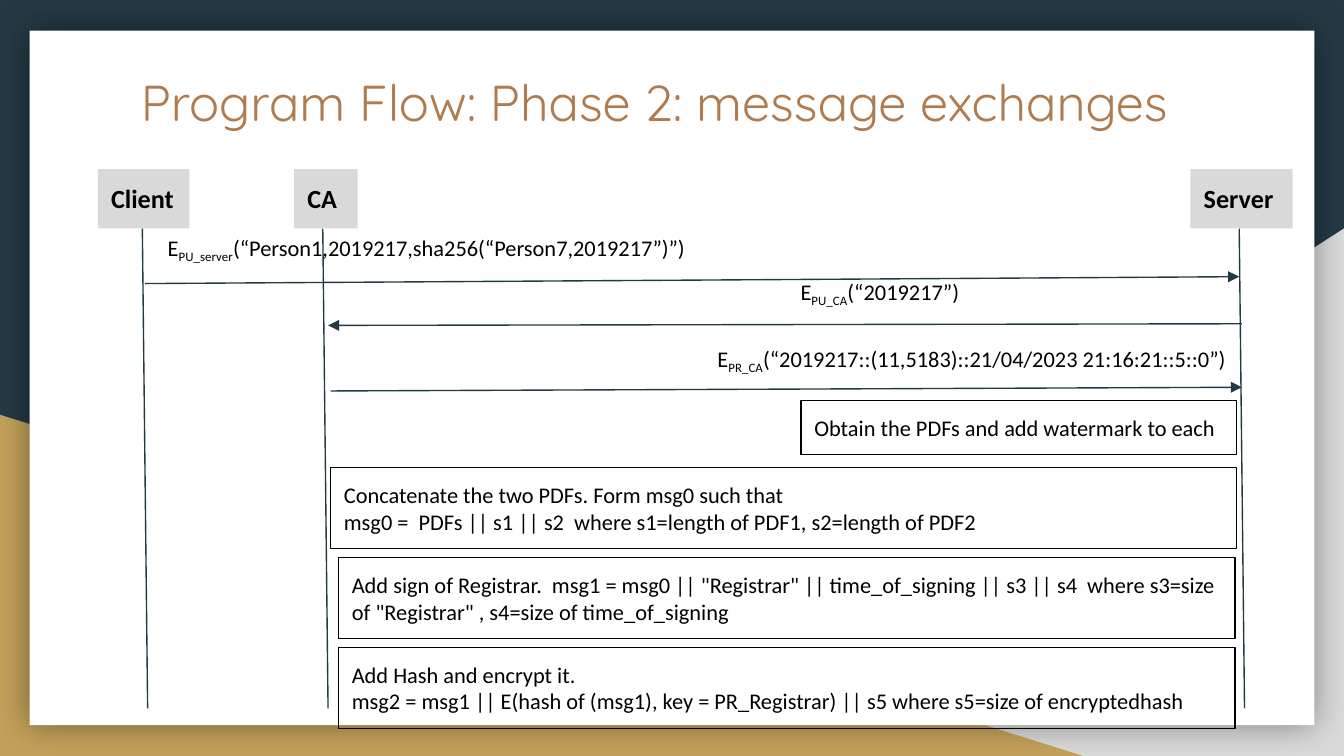
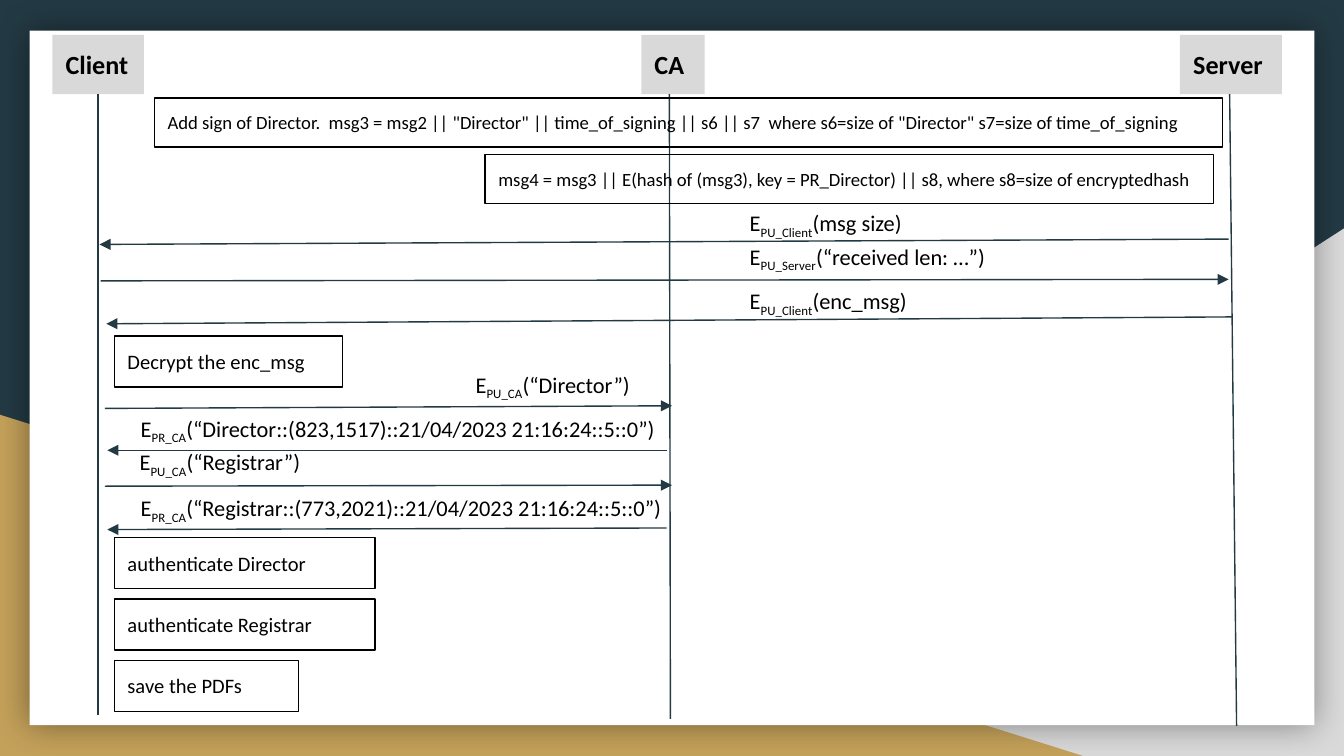
import pptx
import pptx.util
import pptx.dml.color
import pptx.enum.shapes
import pptx.enum.text
import pptx.oxml.ns
import lxml.etree

Cm, Pt = pptx.util.Cm, pptx.util.Pt
qn = pptx.oxml.ns.qn
KIND = pptx.enum.shapes.MSO_SHAPE

HUES = {"navy": "233A44", "gold": "C4A15A", "grey": "D9D9D9",
        "white": "FFFFFF", "black": "000000", "brown": "AF7B51"}
BODY, HEAD = "Calibri", "Quicksand"
WIDTHS = {"Client": 1.73, "CA": 1.2, "Server": 1.93}
HIGH = 1.12  # height of an actor's box


def hue(name):
    return pptx.dml.color.RGBColor.from_string(HUES[name])


def tall(size, lines=1):
    """Height in cm of a box around lines of text, with its insets."""
    return round(0.5 + lines * size * 0.043, 2)


def style(para, size, bold=False, face=BODY, ink="black"):
    para.alignment = pptx.enum.text.PP_ALIGN.LEFT
    font = para.font
    font.name, font.size, font.bold = face, Pt(size), bold
    font.color.rgb = hue(ink)


def frame(shape):
    """Prepare the text frame of a shape: insets, wrap, top anchor."""
    text = shape.text_frame
    text.word_wrap = True
    text.vertical_anchor = pptx.enum.text.MSO_ANCHOR.TOP
    text.margin_left = text.margin_right = Cm(0.25)
    text.margin_top = text.margin_bottom = Cm(0.25)
    return text


def block(slide, kind, left, top, width, height, fill=None, edge=None):
    shape = slide.shapes.add_shape(
        kind, Cm(left), Cm(top), Cm(width), Cm(height))
    shape.shadow.inherit = False
    if fill:
        shape.fill.solid()
        shape.fill.fore_color.rgb = hue(fill)
    else:
        shape.fill.background()
    if edge:
        shape.line.color.rgb = hue(edge)
        shape.line.width = Pt(0.75)
    else:
        shape.line.fill.background()
    return shape


def line(slide, start, end, arrow=False):
    link = slide.shapes.add_connector(
        pptx.enum.shapes.MSO_CONNECTOR.STRAIGHT,
        *[Cm(n) for n in (*start, *end)])
    link.line.color.rgb = hue("navy")
    link.line.width = Pt(0.75)
    props = link.element.spPr
    if arrow:
        lxml.etree.SubElement(props.find(qn("a:ln")), qn("a:tailEnd"),
                              type="triangle")
    lxml.etree.SubElement(props, qn("a:effectLst"))


def glow(shape):
    """Soft shadow on all sides."""
    effect = shape.element.spPr.find(qn("a:effectLst"))
    outer = lxml.etree.SubElement(effect, qn("a:outerShdw"),
                                  blurRad=str(Pt(18)), dist="0", dir="0",
                                  algn="ctr", rotWithShape="0")
    tint = lxml.etree.SubElement(outer, qn("a:srgbClr"), val=HUES["black"])
    lxml.etree.SubElement(tint, qn("a:alpha"), val="40000")


def backdrop(master, slide):
    """Draw the shared backdrop and move it to the master."""
    fill = master.background.fill
    fill.solid()
    fill.fore_color.rgb = hue("navy")
    right = block(slide, KIND.RIGHT_TRIANGLE, 9.96, 4.32, 15.44, 9.97, "grey")
    right.element.spPr.find(qn("a:xfrm")).set("flipH", "1")
    left = block(slide, KIND.RIGHT_TRIANGLE, 0, 7.84, 20.47, 6.45, "gold")
    sheet = block(slide, KIND.RECTANGLE, 0.56, 0.58, 24.28, 13.13, "white")
    glow(sheet)
    for num, shape in enumerate((right, left, sheet)):
        shape.element.nvSpPr.cNvPr.set("id", str(100 + num))
        master.shapes.element.insert(2 + num, shape.element)


def title(slide, words):
    shape = slide.shapes.title
    shape.left, shape.top = Cm(2.41), Cm(1.09)
    shape.width, shape.height = Cm(20.12), Cm(1.78)
    text = frame(shape)
    text.auto_size = pptx.enum.text.MSO_AUTO_SIZE.NONE
    text.text = words
    style(text.paragraphs[0], 27, face=HEAD, ink="brown")


def actors(slide, top, rows):
    """Name boxes, each with the lifeline that hangs from it."""
    for name, left, head, foot in rows:
        shape = block(slide, KIND.RECTANGLE, left, top,
                      WIDTHS[name], HIGH, "grey")
        text = frame(shape)
        text.text = name
        style(text.paragraphs[0], 14, bold=True)
        line(slide, (head, top + HIGH), foot)


def message(slide, key, body, left, top, width, start, end):
    """An arrow and its label: E, the key as subscript, the content."""
    line(slide, start, end, arrow=True)
    label = slide.shapes.add_textbox(
        Cm(left), Cm(top), Cm(width), Cm(tall(12)))
    para = frame(label).paragraphs[0]
    style(para, 12)
    for words in ("E", key, body):
        para.add_run().text = words
    para.runs[1]._r.get_or_add_rPr().set("baseline", "-25000")


def step(slide, words, left, top, width, size=12, lines=1):
    """An outlined box for work done by one actor."""
    shape = block(slide, KIND.RECTANGLE, left, top, width,
                  tall(size, lines), edge="black")
    text = frame(shape)
    text.text = words
    for para in text.paragraphs:
        style(para, size)


def request(slide):
    title(slide, "Program Flow: Phase 2: message exchanges")
    actors(slide, 3.2, [
        ("Client", 1.85, 2.69, (2.79, 13.39)),
        ("CA", 5.56, 6.1, (6.2, 13.39)),
        ("Server", 22.5, 23.42, (23.52, 13.39))])

    # Messages
    for row in [
        ("PU_server", "(“Person1,2019217,sha256(“Person7,2019217”)”)",
         2.92, 4.17, 13.08, (2.74, 5.36), (23.42, 5.23)),
        ("PU_CA", "(“2019217”)",
         14.88, 5, 4.6, (23.47, 6.12), (6.2, 6.15)),
        ("PR_CA", "(“2019217::(11,5183)::21/04/2023 21:16:21::5::0”)",
         13.31, 6.27, 11.43, (6.25, 7.39), (23.47, 7.32)),
    ]:
        message(slide, *row)

    # Work on the server
    step(slide, "Obtain the PDFs and add watermark to each",
         15.14, 7.57, 8.23)
    for num, (words, left, width) in enumerate([
        ("Concatenate the two PDFs. Form msg0 such that\n"
         "msg0 =  PDFs || s1 || s2  where s1=length of PDF1, "
         "s2=length of PDF2", 6.25, 17.12),
        ('Add sign of Registrar.  msg1 = msg0 || "Registrar" || '
         "time_of_signing || s3 || s4  where s3=size of "
         '"Registrar" , s4=size of time_of_signing', 6.4, 16.94),
        ("Add Hash and encrypt it.\n"
         "msg2 = msg1 || E(hash of (msg1), key = PR_Registrar) || s5 "
         "where s5=size of encryptedhash", 6.4, 16.94),
    ]):
        step(slide, words, left, 8.84 + 1.7 * num, width, lines=2)


def reply(slide):
    actors(slide, 0.66, [
        ("Client", 0.99, 1.85, (1.85, 13.51)),
        ("CA", 12.12, 12.65, (12.67, 13.59)),
        ("Server", 22.3, 23.24, (23.37, 13.72))])

    # Messages between server and client, then client and CA
    for row in [
        ("PU_Client", "(msg size)",
         13.92, 3.71, 6.7, (23.22, 4.52), (1.88, 4.62)),
        ("PU_Server", "(“received len: …”)",
         13.92, 4.34, 6.7, (1.9, 5.31), (23.22, 5.28)),
        ("PU_Client", "(enc_msg)",
         13.92, 5.18, 6.7, (23.29, 5.99), (2.01, 6.12)),
        ("PU_CA", "(“Director”)",
         8.74, 6.76, 4.32, (1.98, 7.72), (12.7, 7.67)),
        ("PR_CA", "(“Director::(823,1517)::21/04/2023 21:16:24::5::0”)",
         2.41, 7.59, 10.77, (12.6, 8.51), (2.03, 8.51)),
        ("PU_CA", "(“Registrar”)",
         2.39, 8.23, 4.32, (1.98, 9.19), (12.7, 9.17)),
        ("PR_CA", "(“Registrar::(773,2021)::21/04/2023 21:16:24::5::0”)",
         2.41, 9.09, 10.77, (12.6, 9.98), (2.03, 10.01)),
    ]:
        message(slide, *row)

    # Work on the client
    step(slide, "Decrypt the enc_msg", 2.16, 6.35, 4.32, 11)
    for num, (words, width) in enumerate([
        ("authenticate Director", 4.93),
        ("authenticate Registrar", 4.93),
        ("save the PDFs", 3.48),
    ]):
        step(slide, words, 2.16, 10.16 + 1.16 * num, width, 11)

    # Work on the server
    step(slide, 'Add sign of Director.  msg3 = msg2 || "Director" || '
         'time_of_signing || s6 || s7  where s6=size of "Director" '
         "s7=size of time_of_signing", 2.92, 1.85, 20.19, 10)
    step(slide, "msg4 = msg3 || E(hash of (msg3), key = PR_Director) || s8, "
         "where s8=size of encryptedhash", 9.17, 2.92, 13.77, 10)


def main():
    deck = pptx.Presentation()
    deck.slide_width, deck.slide_height = Cm(25.4), Cm(14.29)
    first = deck.slides.add_slide(deck.slide_layouts.get_by_name("Title Only"))
    second = deck.slides.add_slide(deck.slide_layouts.get_by_name("Blank"))
    backdrop(deck.slide_master, first)
    request(first)
    reply(second)
    deck.save("out.pptx")


if __name__ == "__main__":
    main()
